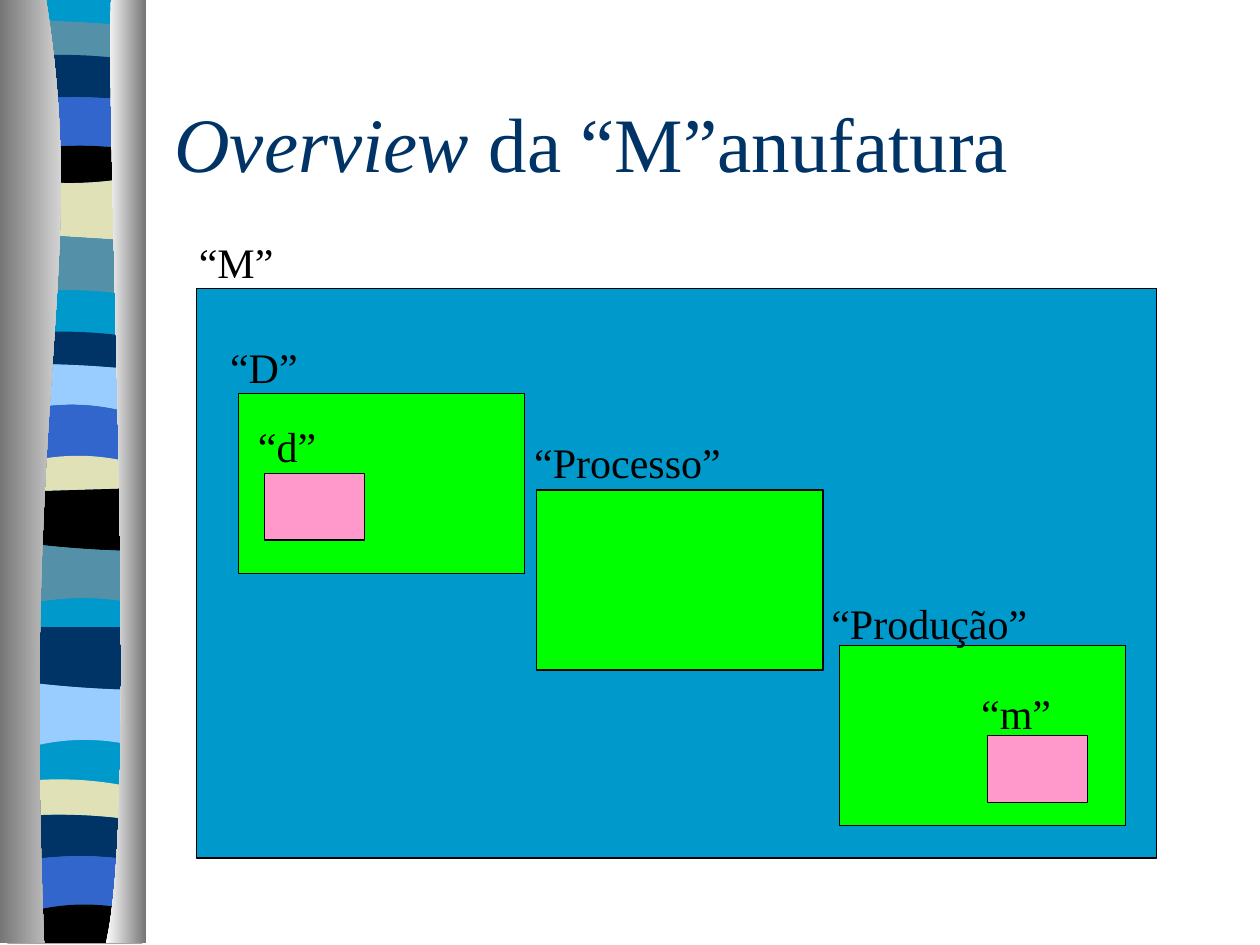
"""Build the slide that outlines the levels of manufacturing."""
from itertools import pairwise

from lxml.etree import SubElement
from pptx import Presentation
from pptx.dml.color import RGBColor
from pptx.enum.shapes import MSO_SHAPE
from pptx.enum.text import MSO_ANCHOR, MSO_AUTO_SIZE, PP_ALIGN
from pptx.oxml.ns import qn
from pptx.util import Cm, Pt

COLORS = {
    "cyan": "0099CC", "teal": "5490A8", "navy": "003366", "blue": "3366CC",
    "black": "000000", "beige": "E1E1B7", "light": "99CCFF", "green": "00FF00",
    "pink": "FF99CC", "steel": "767676", "silver": "D4D4D4", "white": "FFFFFF",
}
RIBBON_LEFT, RIBBON_RIGHT, BOTTOM = 0.15, 2.87, 19.02
BANDS = [
    ("teal", (0.42, 0.44, 0.48)),
    ("navy", (1.11, 1.11, 1.15)), ("blue", (1.98, 1.96, 1.98)),
    ("black", (2.98, 2.94, 2.96)), ("beige", (3.67, 3.69, 3.65)),
    ("teal", (4.74, 4.78, 4.82)), ("cyan", (5.87, 5.85, 5.89)),
    ("navy", (6.69, 6.69, 6.73)), ("light", (7.34, 7.36, 7.4)),
    ("blue", (8.2, 8.16, 8.22)), ("beige", (9.25, 9.19, 9.23)),
    ("black", (9.9, 9.88, 9.86)), ("teal", (10.99, 11.05, 11.09)),
    ("cyan", (12.12, 12.06, 12.08)), ("navy", (12.64, 12.64, 12.64)),
    ("light", (13.79, 13.85, 13.89)), ("cyan", (15, 14.92, 14.94)),
    ("beige", (15.72, 15.72, 15.78)), ("navy", (16.43, 16.43, 16.47)),
    ("blue", (17.3, 17.26, 17.28)), ("black", (18.32, 18.24, 18.26)),
]
COLUMNS = [
    (0, [(0.93, 0), (1.8, 5.49), (0.43, 7.52), (0.89, BOTTOM)], ("steel", "white")),
    (2.94, [(2.24, 0), (2.13, 3.18), (2.82, 16.41), (2.13, BOTTOM)], ("white", "steel")),
]
PROCESS_SIZE, DETAIL_SIZE = (5.77, 3.63), (2.02, 1.35)
BOXES = [
    (3.96, 5.82, (19.35, 11.48), "cyan", "“M”", (3.76, 4.63, 2.74)),
    (4.81, 7.93, PROCESS_SIZE, "green", "“D”", (4.39, 6.76, 2.74)),
    (10.82, 9.88, PROCESS_SIZE, "green", "“Processo”", (10.52, 8.67, 4.34)),
    (16.92, 13.02, PROCESS_SIZE, "green", "“Produção”", (16.51, 11.91, 5.08)),
    (5.33, 9.54, DETAIL_SIZE, "pink", "“d”", (4.95, 8.35, 2.74)),
    (19.91, 14.83, DETAIL_SIZE, "pink", "“m”", (19.53, 13.73, 2.74)),
]


def rgb(name):
    """Return the named colour."""
    return RGBColor.from_string(COLORS[name])


def add_run(p, text, size=24, color="black", italic=False):
    """Add formatted text to a paragraph."""
    r = p.add_run()
    r.text = text
    r.font.name = "Times New Roman"
    r.font.size = Pt(size)
    r.font.italic = italic
    r.font.color.rgb = rgb(color)


def set_fill(sp, color):
    """Fill a shape with one colour."""
    sp.fill.solid()
    sp.fill.fore_color.rgb = rgb(color)


def add_outline(slide, points, curve_starts=()):
    """Add a master outline, bending the three segments after each curve start."""
    points = [(Cm(x), Cm(y)) for x, y in points]
    builder = slide.shapes.build_freeform(*points[0])
    builder.add_line_segments(points[1:], close=True)
    sp = builder.convert_to_shape()
    sp.shadow.inherit = False
    sp.line.fill.background()
    lines = list(sp.element.iter(qn("a:lnTo")))
    for start in curve_starts:
        curve = SubElement(lines[start].getparent(), qn("a:cubicBezTo"))
        lines[start].addprevious(curve)
        for line in lines[start:start + 3]:
            curve.append(line[0])
            line.getparent().remove(line)
    slide.slide_layout.slide_master.shapes.element.append(sp.element)
    return sp


def wave(heights):
    """Return cubic controls for the parabola through three central heights."""
    a, b, c = heights
    reach = (RIBBON_RIGHT - RIBBON_LEFT) / 2 / 0.65
    slope, bend = (c - a) / 2, (a + c - 2 * b) / 2
    start, end = (b + slope * t + bend * t * t for t in (-reach, reach))
    third = 2 * reach / 3
    ys = (start, start + (slope - 2 * bend * reach) * third,
          end - (slope + 2 * bend * reach) * third, end)
    step = (RIBBON_RIGHT - RIBBON_LEFT) / 3
    return [(RIBBON_LEFT + i * step, y) for i, y in enumerate(ys)]


def add_ribbon(slide):
    """Draw the coloured bands over a cyan strip."""
    strip = [(RIBBON_RIGHT, 0), (RIBBON_RIGHT, BOTTOM), (RIBBON_LEFT, BOTTOM), (RIBBON_LEFT, 0)]
    set_fill(add_outline(slide, strip), "cyan")
    edges = BANDS + [(None, (BOTTOM,) * 3)]
    for (color, top), (_, bottom) in pairwise(edges):
        if color != "cyan":
            set_fill(add_outline(slide, wave(top) + wave(bottom)[::-1], (0, 4)), color)


def add_column(slide, side, controls, shades):
    """Draw a shaded column with one curved side."""
    sp = add_outline(slide, controls + [(side, BOTTOM), (side, 0)], (0,))
    sp.fill.gradient()
    sp.fill.gradient_angle = 0
    for stop, shade in zip(sp.fill.gradient_stops, shades):
        stop.color.rgb = rgb(shade)


def add_label(slide, text, left, top, width):
    """Add the name of a box."""
    tf = slide.shapes.add_textbox(Cm(left), Cm(top), Cm(width), Cm(1.27)).text_frame
    tf.word_wrap = True
    tf.vertical_anchor = MSO_ANCHOR.BOTTOM
    add_run(tf.paragraphs[0], text)


def add_box(slide, left, top, size, color, text, label_place):
    """Add an outlined rectangle and its label."""
    sp = slide.shapes.add_shape(MSO_SHAPE.RECTANGLE, Cm(left), Cm(top), *map(Cm, size))
    sp.shadow.inherit = False
    set_fill(sp, color)
    sp.line.color.rgb = rgb("black")
    sp.line.width = Pt(0.75)
    add_label(slide, text, *label_place)


def set_title(slide):
    """Place and fill the title."""
    sp = slide.shapes.title
    sp.left, sp.top, sp.width, sp.height = Cm(3.26), Cm(1.27), Cm(21.59), Cm(3.18)
    tf = sp.text_frame
    tf.auto_size = MSO_AUTO_SIZE.NONE
    tf.vertical_anchor = MSO_ANCHOR.MIDDLE
    p = tf.paragraphs[0]
    p.alignment = PP_ALIGN.LEFT
    add_run(p, "Overview", size=44, color="navy", italic=True)
    add_run(p, " da “M”anufatura", size=44, color="navy")


def main():
    """Build and save the slide."""
    prs = Presentation()
    prs.slide_width, prs.slide_height = Cm(25.4), Cm(19.05)
    slide = prs.slides.add_slide(prs.slide_layouts[5])
    add_ribbon(slide)
    for column in COLUMNS:
        add_column(slide, *column)
    set_title(slide)
    for box in BOXES:
        add_box(slide, *box)
    prs.save("out.pptx")


if __name__ == "__main__":
    main()
